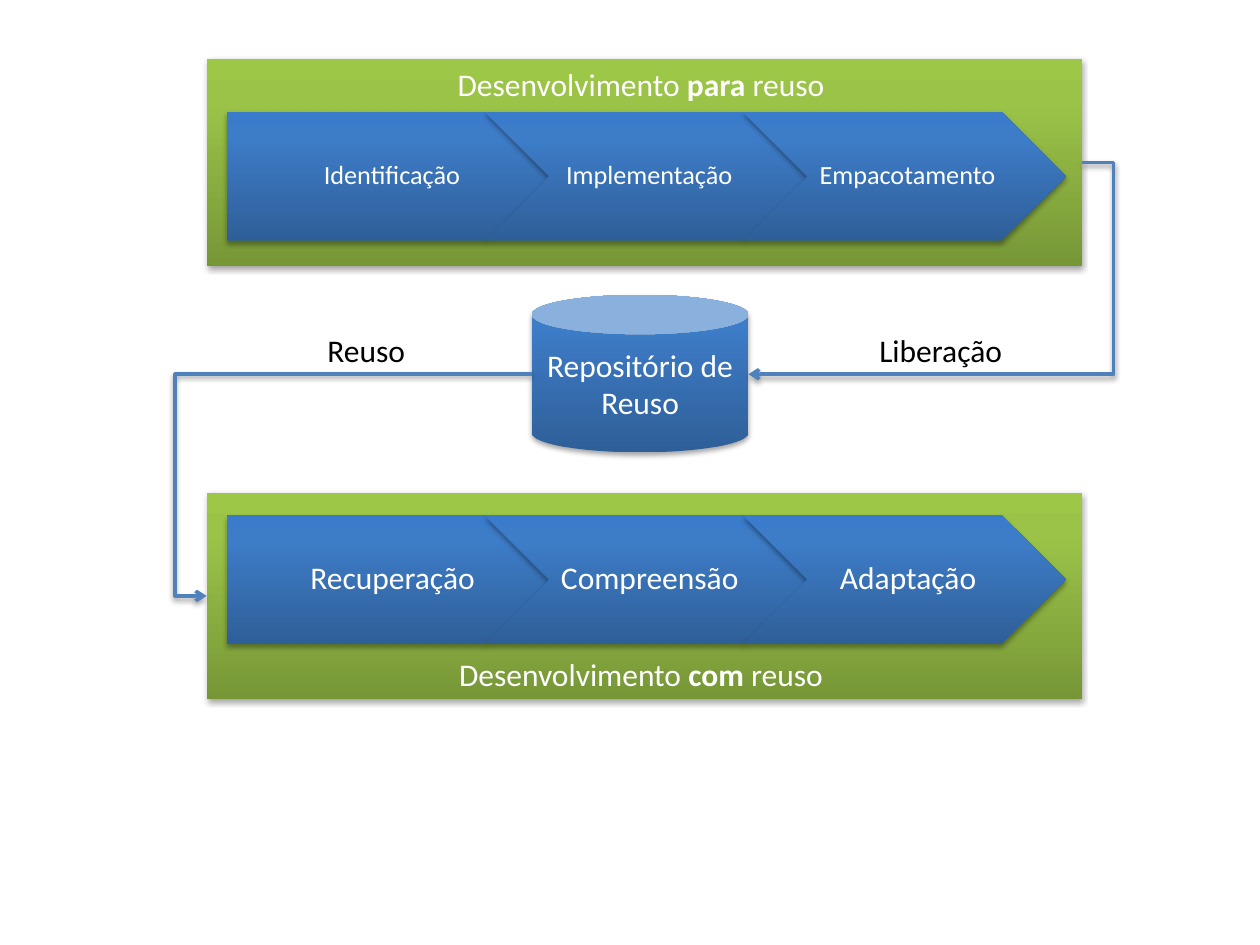
from copy import deepcopy
from dataclasses import dataclass

from lxml.etree import SubElement
from pptx import Presentation
from pptx.dml.color import RGBColor
from pptx.enum.shapes import MSO_CONNECTOR, MSO_SHAPE
from pptx.enum.text import MSO_ANCHOR, PP_ALIGN
from pptx.oxml.ns import qn
from pptx.util import Inches, Pt


@dataclass(frozen=True)
class Theme:
    font: str = "Calibri"
    light: str = "FFFFFF"
    dark: str = "000000"
    line: str = "4F81BD"
    green: tuple = ((0, "779737"), (0.8, "9BC348"), (1, "9DC746"))
    blue: tuple = ((0, "2F5F99"), (0.8, "3D7CC7"), (1, "3A7CCB"))
    body_size: int = 18
    small_size: int = 15
    line_width: int = 2


THEME = Theme()
COLUMNS, ROWS = 100, 75
CELL = Inches(0.1)
PHASE_LEFT, PHASE_STEP, PHASE_WIDTH, PHASE_HEIGHT = 18, 20.5, 25.6, 10.2


def cells(*counts):
    return [round(count * CELL) for count in counts]


def set_values(target, values):
    for name, value in values.items():
        setattr(target, name, value)


def add_shadow(item, opacity, distance):
    effects = SubElement(item._element.spPr, qn("a:effectLst"))
    shadow = SubElement(effects, qn("a:outerShdw"), {
        "blurRad": str(Pt(3.1)), "dist": str(Pt(distance)),
        "dir": "5400000", "rotWithShape": "0"})
    color = SubElement(shadow, qn("a:srgbClr"), val=THEME.dark)
    SubElement(color, qn("a:alpha"), val=str(opacity * 1000))


def fill_gradient(shape, stops):
    shape.fill.gradient()
    shape.fill.gradient_angle = 90
    stop_list = shape._element.spPr.find(".//" + qn("a:gsLst"))
    stop_list.append(deepcopy(stop_list[0]))
    for stop, (position, color) in zip(shape.fill.gradient_stops, stops):
        stop.position = position
        stop.color.rgb = RGBColor.from_string(color)


def write(box, spans, size=THEME.body_size, color=THEME.light,
          frame_format=None, para_format=None):
    frame = box.text_frame
    set_values(frame, {"word_wrap": True, **(frame_format or {})})
    para = frame.paragraphs[0]
    set_values(para, {"alignment": PP_ALIGN.CENTER, **(para_format or {})})
    for text, bold in spans:
        span = para.add_run()
        span.text = text
        set_values(span.font, {"name": THEME.font, "size": Pt(size), "bold": bold})
        span.font.color.rgb = RGBColor.from_string(color)


def add_block(parent, kind, place, stops):
    shape = parent.shapes.add_shape(kind, *cells(*place))
    fill_gradient(shape, stops)
    shape.line.fill.background()
    add_shadow(shape, 35, 1.8)
    return shape


def add_panel(page, top, emphasis, anchor):
    panel = add_block(page, MSO_SHAPE.RECTANGLE, (16.4, top, 69.5, 16.4), THEME.green)
    spans = [("Desenvolvimento ", False), (emphasis, True), (" reuso ", False)]
    write(panel, spans, frame_format={"vertical_anchor": anchor})


def add_phases(page, top, names, size):
    group = page.shapes.add_group_shape()
    for index, name in enumerate(names):
        kind = MSO_SHAPE.CHEVRON if index else MSO_SHAPE.PENTAGON
        place = (PHASE_LEFT + index * PHASE_STEP, top, PHASE_WIDTH, PHASE_HEIGHT)
        add_block(group, kind, place, THEME.blue)
        label = group.shapes.add_textbox(*cells(*place))
        left_inset = Pt(size * (0.32 if index else 0.4))
        write(label, [(name, False)], size, frame_format={
            "vertical_anchor": MSO_ANCHOR.MIDDLE,
            "margin_left": left_inset, "margin_right": Pt(size * 0.1),
            "margin_top": Pt(size * 0.2), "margin_bottom": Pt(size * 0.2),
        }, para_format={"line_spacing": 0.9})


def add_repository(page):
    can = add_block(page, MSO_SHAPE.CAN, (42.2, 23.4, 17.2, 12.5), THEME.blue)
    write(can, [("Repositório de Reuso", False)],
          frame_format={"vertical_anchor": MSO_ANCHOR.MIDDLE})


def add_flow(page, start, end, bend):
    flow = page.shapes.add_connector(MSO_CONNECTOR.ELBOW, *cells(*start, *end))
    flow.line.width = Pt(THEME.line_width)
    flow.line.color.rgb = RGBColor.from_string(THEME.line)
    properties = flow._element.spPr
    share = round((start[0] - bend) / (start[0] - end[0]) * 100000)
    guides = properties.find(".//" + qn("a:avLst"))
    SubElement(guides, qn("a:gd"), name="adj1", fmla=f"val {share}")
    SubElement(properties.find(qn("a:ln")), qn("a:tailEnd"), type="arrow")
    add_shadow(flow, 38, 1.6)


def add_label(page, text, left, width):
    label = page.shapes.add_textbox(*cells(left, 25.8, width, 4))
    write(label, [(text, False)], color=THEME.dark,
          frame_format={"word_wrap": False},
          para_format={"alignment": PP_ALIGN.LEFT})


def main():
    deck = Presentation()
    set_values(deck, {"slide_width": COLUMNS * CELL, "slide_height": ROWS * CELL})
    page = deck.slides.add_slide(deck.slide_layouts[6])
    add_panel(page, 39.1, "com", MSO_ANCHOR.BOTTOM)
    add_panel(page, 4.7, "para", MSO_ANCHOR.TOP)
    add_phases(page, 8.9, ("Identificação", "Implementação", "Empacotamento"),
               THEME.small_size)
    add_phases(page, 40.9, ("Recuperação", "Compreensão", "Adaptação"),
               THEME.body_size)
    add_repository(page)
    add_flow(page, (85.9, 12.9), (59.4, 29.7), 88.4)
    add_flow(page, (42.2, 29.7), (16.4, 47.3), 13.9)
    add_label(page, "Liberação", 68.8, 11.9)
    add_label(page, "Reuso", 25, 8.3)
    deck.save("out.pptx")


main()
